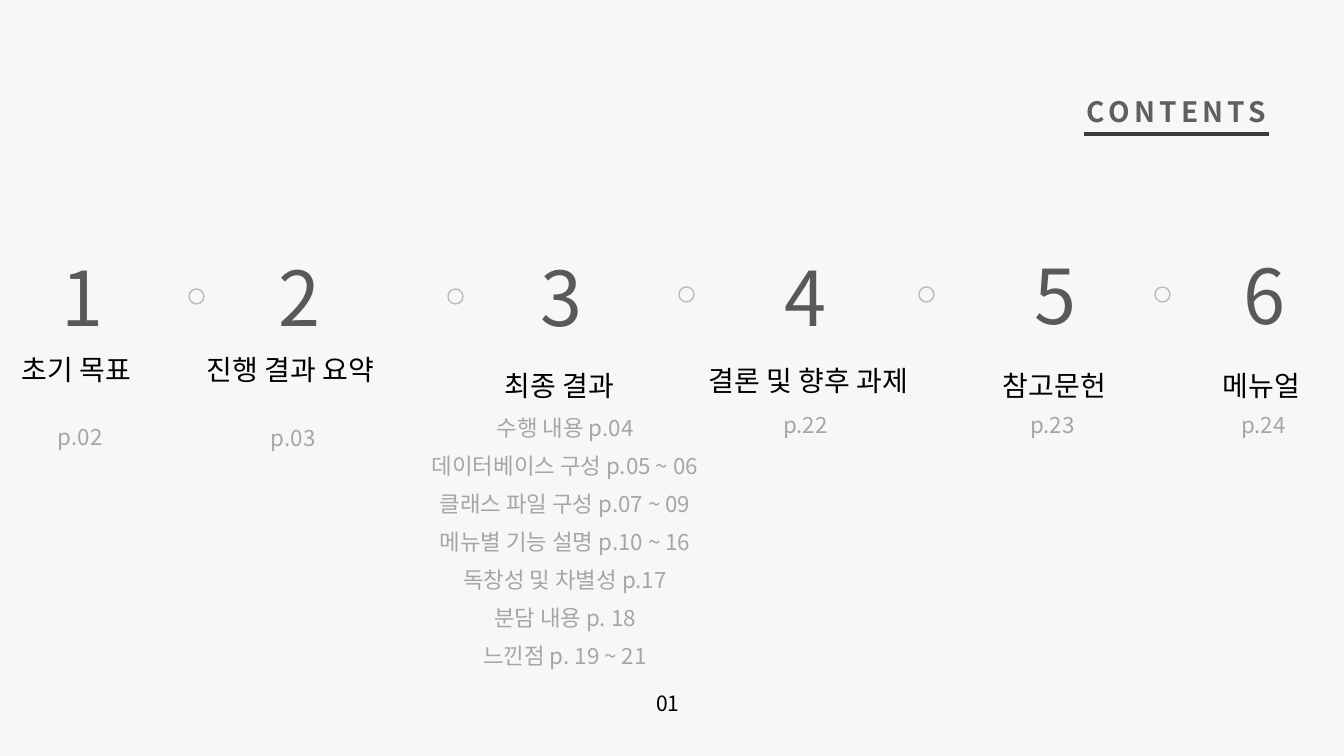
from lxml import etree
from pptx import Presentation
from pptx.dml.color import RGBColor
from pptx.enum.shapes import MSO_CONNECTOR, MSO_SHAPE
from pptx.enum.text import MSO_AUTO_SIZE, PP_ALIGN
from pptx.oxml.ns import qn
from pptx.util import Emu, Pt

OVAL = MSO_SHAPE.OVAL
STRAIGHT = MSO_CONNECTOR.STRAIGHT
GROW, FIXED = MSO_AUTO_SIZE.SHAPE_TO_FIT_TEXT, MSO_AUTO_SIZE.NONE
LEFT, CENTER = PP_ALIGN.LEFT, PP_ALIGN.CENTER

EMU_PER_PX = 914400 / 100.8
INDENT = 39


def px(length):
    return Emu(round(length * EMU_PER_PX))


def color(hex_text):
    return RGBColor.from_string(hex_text)


def add_text(frame, text, *, font, size, fill, bold=False, align=LEFT,
             indent=0, line_spacing=None, space_after=None, tracking=0):
    """Write each line of text as one formatted paragraph."""
    for index, line in enumerate(text.split("\n")):
        para = frame.add_paragraph() if index else frame.paragraphs[0]
        para.alignment = align
        if line_spacing:
            para.line_spacing = line_spacing
        if space_after:
            para.space_after = Pt(space_after)
        if indent:
            properties = para._p.get_or_add_pPr()
            properties.set("marL", str(px(indent)))
            properties.set("indent", "0")
        span = para.add_run()
        span.text = line
        span.font.name = font
        span.font.size = Pt(size)
        span.font.bold = bold
        span.font.color.rgb = color(fill)
        run_properties = span._r.get_or_add_rPr()
        if tracking:
            run_properties.set("spc", str(tracking * 100))
        etree.SubElement(run_properties, qn("a:ea")).set("typeface", font)


class ContentsPage:
    font = "Noto Sans CJK KR"
    paper, black = "F7F7F7", "000000"
    heading, rule = "5F5F5F", "3B3B3B"
    digit, muted, ring = "595959", "A6A6A6", "BBBBBB"

    def __init__(self, deck):
        self.page = deck.slides.add_slide(deck.slide_layouts[6])
        background = self.page.background.fill
        background.solid()
        background.fore_color.rgb = color(self.paper)

    def text(self, place, text, *, wrap=True, fit=GROW, **style):
        box = self.page.shapes.add_textbox(*map(px, place))
        frame = box.text_frame
        frame.word_wrap = wrap
        frame.auto_size = fit
        add_text(frame, text, font=self.font, **style)

    def number(self, left, top, text):
        self.text((left, top, 70, 102), text, size=54, fill=self.digit)

    def title(self, place, text, **style):
        self.text(place, text, size=20, fill=self.black, **style)

    def detail(self, place, text, **style):
        self.text(place, text, size=16, fill=self.muted, **style)

    def dot(self, left, top):
        circle = self.page.shapes.add_shape(OVAL, *map(px, (left, top, 15, 15)))
        circle.shadow.inherit = False
        circle.fill.background()
        circle.line.color.rgb = color(self.ring)
        circle.line.width = Pt(1)

    def line(self, left, right, y, weight):
        line = self.page.shapes.add_connector(
            STRAIGHT, px(left), px(y), px(right), px(y))
        line.line.color.rgb = color(self.rule)
        line.line.width = Pt(weight)
        etree.SubElement(line._element.spPr, qn("a:effectLst"))


def main():
    deck = Presentation()
    deck.slide_width, deck.slide_height = px(1344), px(756)
    contents = ContentsPage(deck)

    # Heading and page number
    contents.text((1077, 90, 200, 44), "CONTENTS", wrap=False, size=20,
                  fill=contents.heading, bold=True, tracking=3)
    contents.line(1084, 1269, 134, 3.5)
    contents.text((638, 686, 60, 35), "01", size=15, fill=contents.black,
                  align=CENTER)

    # Chapter numbers
    numbers = [(52, 246), (269, 246), (531, 246),
               (775, 246), (1025, 244), (1234, 244)]
    for count, (left, top) in enumerate(numbers, 1):
        contents.number(left, top, str(count))

    # Dots between chapters
    for left, top in [(189, 289), (448, 289), (679, 287), (919, 287), (1155, 287)]:
        contents.dot(left, top)

    # Chapter titles
    spaced = {"indent": INDENT, "line_spacing": 2.0}
    contents.title((12, 348, 158, 44), "초기 목표")
    contents.title((197, 348, 202, 44), "진행 결과 요약")
    for left, top, width, text in [
        (456, 330, 235, "최종 결과"),
        (660, 325, 287, "결론 및 향후 과제"),
        (954, 330, 198, "참고문헌"),
        (1174, 330, 198, "메뉴얼"),
    ]:
        contents.title((left, top, width, 68), text, **spaced)

    # Chapter pages
    contents.detail((4, 391, 127, 55), " p.02", **spaced)
    contents.detail((217, 392, 127, 55), " p.03", **spaced)
    contents.detail((692, 406, 227, 98), "p.22", fit=FIXED, align=CENTER)
    for left, text in [(890, "p.23"), (1101, "p.24")]:
        contents.detail((left, 406, 286, 37), text, align=CENTER, indent=INDENT)

    # Sections of the third chapter
    sections = [
        "수행 내용 p.04",
        "데이터베이스 구성 p.05 ~ 06",
        "클래스 파일 구성 p.07 ~ 09",
        "메뉴별 기능 설명 p.10 ~ 16",
        "독창성 및 차별성 p.17",
        "분담 내용 p. 18",
        "느낀점 p. 19 ~ 21",
    ]
    contents.detail((402, 409, 326, 241), "\n".join(sections), fit=FIXED,
                    align=CENTER, space_after=8)

    deck.save("out.pptx")


if __name__ == "__main__":
    main()
